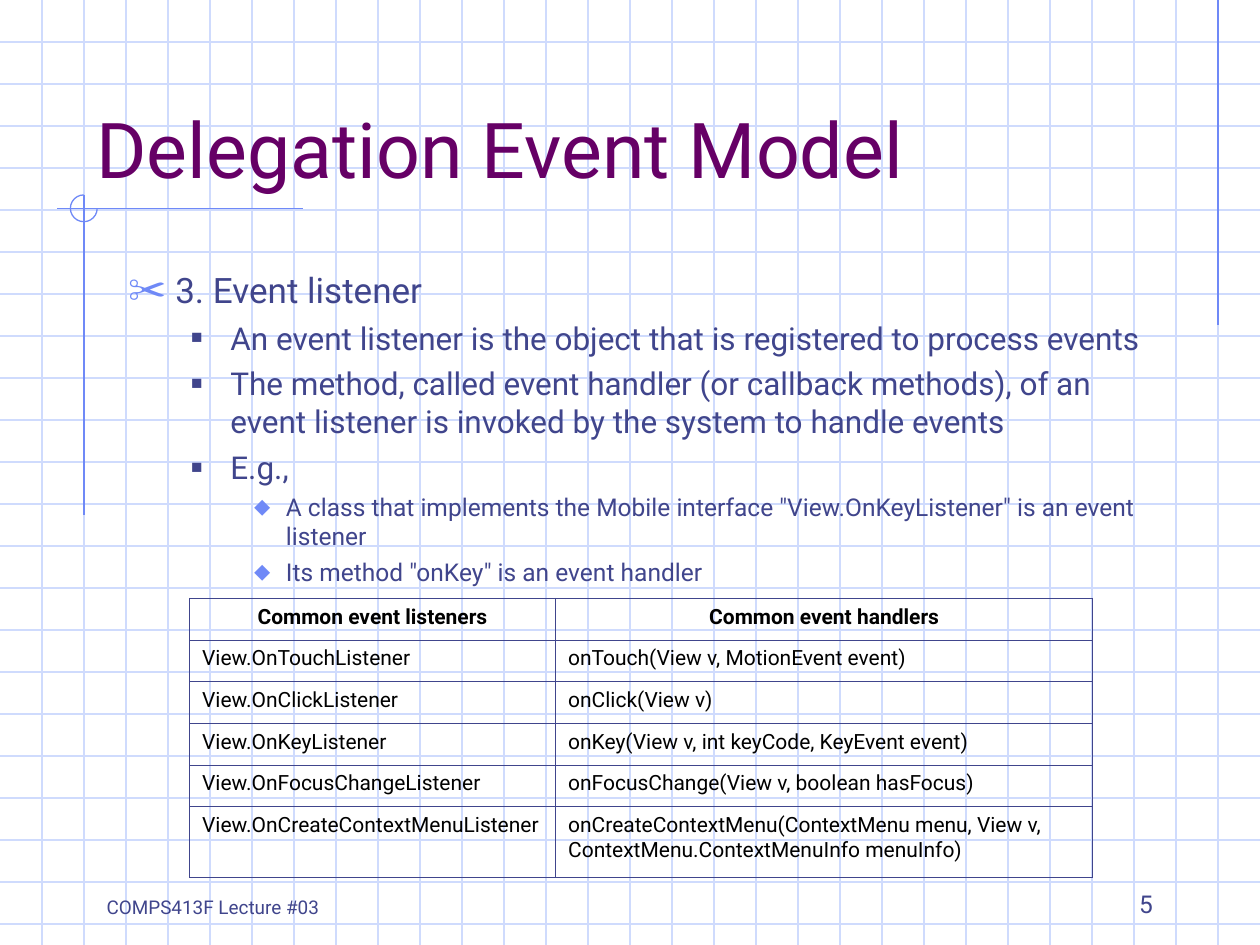
from lxml.etree import SubElement
from pptx import Presentation
from pptx.dml.color import RGBColor
from pptx.enum.shapes import MSO_CONNECTOR as Connector, MSO_SHAPE as Shape
from pptx.enum.text import MSO_ANCHOR as Anchor, MSO_AUTO_SIZE as AutoSize, PP_ALIGN as Align
from pptx.oxml import parse_xml
from pptx.oxml.ns import nsdecls, qn
from pptx.util import Cm, Pt

# Content
TITLE = "Delegation Event Model"
BODY = [
    (0, "3. Event listener"),
    (1, "An event listener is the object that is registered to process events"),
    (1, "The method, called event handler (or callback methods), of an event listener "
        "is invoked by the system to handle events"),
    (1, "E.g.,"),
    (2, 'A class that implements the Mobile interface "View.OnKeyListener" is an event listener'),
    (2, 'Its method "onKey" is an event handler'),
]
HANDLERS = [
    ("Common event listeners", "Common event handlers"),
    ("View.OnTouchListener", "onTouch(View v, MotionEvent event)"),
    ("View.OnClickListener", "onClick(View v)"),
    ("View.OnKeyListener", "onKey(View v, int keyCode, KeyEvent event)"),
    ("View.OnFocusChangeListener", "onFocusChange(View v, boolean hasFocus)"),
    ("View.OnCreateContextMenuListener",
     "onCreateContextMenu(ContextMenu menu, View v, ContextMenu.ContextMenuInfo menuInfo)"),
]
FOOTER, PAGE_NUMBER = "COMPS413F Lecture #03", "5"

# Style
FONT = "Roboto"
COLORS = {"grid": "CFDBFD", "accent": "6F89F7", "text": "40458C",
          "title": "660066", "table": "000000"}
LEVELS = [  # margin and hanging indent in cm, sizes in points, bullet size in percent
    dict(margin=0.95, hang=0.95, size=20, before=5, bullet="✂", color="accent", scale=110),
    dict(margin=2.06, hang=0.79, size=18, before=4.5, bullet="■", color="text", scale=60),
    dict(margin=3.18, hang=0.64, size=14, before=3.5, bullet="⬥", color="accent", scale=95),
]
WIDTH, HEIGHT = 25.4, 19.05
PITCH = WIDTH / 30
COLUMN_WIDTHS = [7.38, 10.83]
ROW_HEIGHTS = [0.84] * 5 + [1.42]

presentation = Presentation()
presentation.slide_width, presentation.slide_height = Cm(WIDTH), Cm(HEIGHT)
slide = presentation.slides.add_slide(presentation.slide_layouts[1])


def color(name):
    return RGBColor.from_string(COLORS[name])


def add_line(x1, y1, x2, y2, name):
    line = slide.shapes.add_connector(Connector.STRAIGHT, Cm(x1), Cm(y1), Cm(x2), Cm(y2))
    line.line.color.rgb = color(name)
    line.line.width = Pt(0.75)
    SubElement(line._element.spPr, qn("a:effectLst"))


def write(paragraph, text, size, name="text", bold=False, align=Align.LEFT):
    paragraph.alignment = align
    run = paragraph.add_run()
    run.text = text
    run.font.name, run.font.size, run.font.bold = FONT, Pt(size), bold
    run.font.color.rgb = color(name)


def set_frame(shape, left, top, width, height, anchor):
    shape.left, shape.top, shape.width, shape.height = map(Cm, (left, top, width, height))
    frame = shape.text_frame
    frame.word_wrap, frame.auto_size, frame.vertical_anchor = True, AutoSize.NONE, anchor
    return frame


def set_bullet(paragraph, level):
    properties = paragraph._p.get_or_add_pPr()
    properties.set("marL", str(Cm(level["margin"])))
    properties.set("indent", str(-Cm(level["hang"])))
    bullet_color = SubElement(properties, qn("a:buClr"))
    SubElement(bullet_color, qn("a:srgbClr"), val=COLORS[level["color"]])
    SubElement(properties, qn("a:buSzPct"), val=str(level["scale"] * 1000))
    SubElement(properties, qn("a:buChar"), char=level["bullet"])


def set_borders(cell):
    properties = cell._tc.get_or_add_tcPr()
    for position, side in enumerate(("lnL", "lnR", "lnT", "lnB")):
        properties.insert(position, parse_xml(
            f'<a:{side} {nsdecls("a")} w="{Pt(0.45)}"><a:solidFill>'
            f'<a:srgbClr val="{COLORS["text"]}"/></a:solidFill></a:{side}>'))


# Squared paper
for index in range(1, 23):
    add_line(0, index * PITCH, WIDTH, index * PITCH, "grid")
for index in range(1, 30):
    add_line(index * PITCH, 0, index * PITCH, HEIGHT, "grid")

# Accent lines and open circle
add_line(29 * PITCH, 0, 29 * PITCH, 6.55, "accent")
add_line(6.1, 4.21, 1.14, 4.21, "accent")
add_line(2 * PITCH, 3.93, 2 * PITCH, 10.39, "accent")
arc = slide.shapes.add_shape(Shape.ARC, Cm(1.42), Cm(3.93), Cm(0.54), Cm(0.54))
arc.adjustments[0], arc.adjustments[1] = 0, 162  # three quarters, from right to top
arc.shadow.inherit = False
arc.fill.background()
arc.line.color.rgb = color("accent")
arc.line.width = Pt(0.75)

# Title
title = set_frame(slide.shapes.title, 1.69, 0.85, 21.59, 3.18, Anchor.BOTTOM)
write(title.paragraphs[0], TITLE, 44, "title")

# Bulleted list
body = set_frame(slide.placeholders[1], 2.33, 5.29, 21.59, 11.43, Anchor.TOP)
for index, (depth, text) in enumerate(BODY):
    paragraph = body.add_paragraph() if index else body.paragraphs[0]
    level = LEVELS[depth]
    paragraph.level = depth
    paragraph.space_before = Pt(level["before"])
    set_bullet(paragraph, level)
    write(paragraph, text, level["size"])

# Footer and page number
for left, text, size, align in ((1.9, FOOTER, 10.8, Align.LEFT),
                                (18.2, PAGE_NUMBER, 14, Align.RIGHT)):
    box = slide.shapes.add_textbox(0, 0, 0, 0)
    frame = set_frame(box, left, 17.36, 5.29, 1.27, Anchor.BOTTOM)
    write(frame.paragraphs[0], text, size, align=align)

# Table of listeners and handlers
table = slide.shapes.add_table(len(HANDLERS), 2, Cm(3.82), Cm(12.06),
                               Cm(sum(COLUMN_WIDTHS)), Cm(sum(ROW_HEIGHTS))).table
table.first_row = table.horz_banding = False
for column, width in zip(table.columns, COLUMN_WIDTHS):
    column.width = Cm(width)
for row_index, (row, height) in enumerate(zip(table.rows, ROW_HEIGHTS)):
    row.height = Cm(height)
    header = row_index == 0
    for cell, text in zip(row.cells, HANDLERS[row_index]):
        cell.fill.background()
        set_borders(cell)
        write(cell.text_frame.paragraphs[0], text, 12, "table", bold=header,
              align=Align.CENTER if header else Align.LEFT)

# Lines lie behind the text
tree = slide.shapes._spTree
for placeholder in (slide.shapes.title, slide.placeholders[1]):
    tree.append(placeholder._element)

presentation.save("out.pptx")
